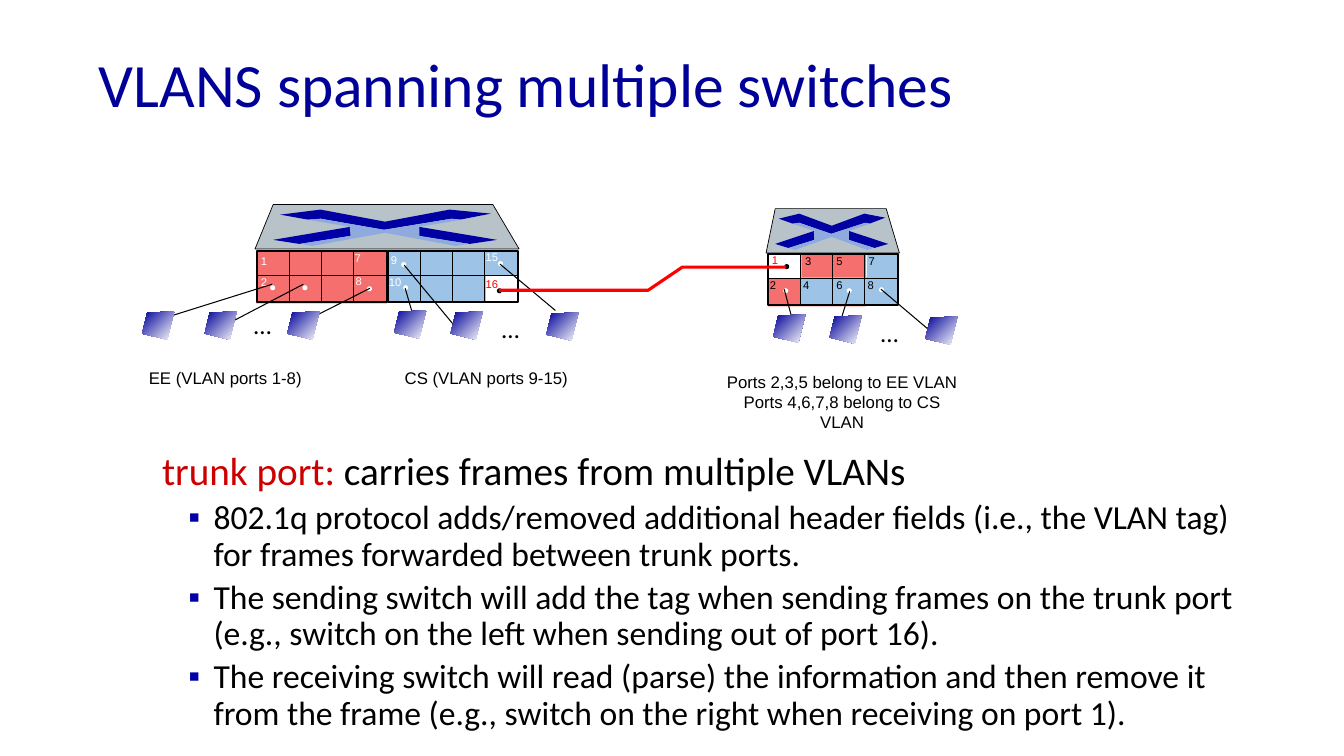
from lxml.etree import SubElement as Sub
from pptx import Presentation
from pptx.dml.color import RGBColor
from pptx.enum.shapes import MSO_CONNECTOR as Link, MSO_SHAPE as Kind
from pptx.enum.text import MSO_ANCHOR as Anchor, MSO_AUTO_SIZE as Fit, PP_ALIGN as Align
from pptx.oxml.ns import qn
from pptx.util import Pt

PX = 9144
RED, BLUE, WHITE, BLACK = "F56F6F", "9DC3E6", "FFFFFF", "000000"
NAVY, TRUNK = "000099", "FF0000"

TITLE = "VLANS spanning multiple switches"
LEAD = ("trunk port: ", "carries frames from multiple VLANs")
POINTS = [
    "802.1q protocol adds/removed additional header fields (i.e., the VLAN tag) for frames forwarded between trunk ports.",
    "The sending switch will add the tag when sending frames on the trunk port (e.g., switch on the left when sending out of port 16).",
    "The receiving switch will read (parse) the information and then remove it from the frame (e.g., switch on the right when receiving on port 1).",
]
NOTES = [
    (129, 360, 189, 30, ["EE (VLAN ports 1-8)"]),
    (342, 360, 281, 30, ["CS (VLAN ports 9-15)"]),
    (704, 364, 263, 50, ["Ports 2,3,5 belong to EE VLAN", "Ports 4,6,7,8 belong to CS VLAN"]),
]
MORE = [(242, 302), (488, 306), (864, 310)]

BANKS = [(255, 249), (385, 249), (762, 252)]
FILLS = [
    (254, 249, 130, 52, RED), (384, 250, 98, 50, BLUE), (481, 249, 32, 24, BLUE),
    (762, 276, 33, 28, RED), (795, 252, 64, 52, RED),
    (860, 252, 32, 27, BLUE), (794, 275, 97, 27, BLUE),
]
PORTS = [
    ("1", 249, 247, WHITE), ("2", 249, 268, WHITE), ("7", 342, 244, WHITE), ("8", 343, 267, WHITE),
    ("9", 378, 246, WHITE), ("10", 376, 268, WHITE), ("15", 472, 243, WHITE), ("16", 472, 270, TRUNK),
    ("1", 756, 246, TRUNK), ("2", 754, 271, BLACK), ("3", 789, 247, BLACK), ("4", 787, 271, BLACK),
    ("5", 820, 247, BLACK), ("6", 820, 271, BLACK), ("7", 852, 247, BLACK), ("8", 851, 271, BLACK),
]
DOTS = [(268, 283), (300, 283), (364, 284), (400, 283), (398, 260), (494, 259),
        (777, 286), (872, 285), (840, 286)]
ENDS = [(493, 286), (778, 262)]
WIRES = [
    (270, 282, 171, 313), (301, 282, 213, 328), (367, 286, 292, 324),
    (402, 286, 413, 324), (401, 263, 454, 327), (496, 262, 551, 308),
    (778, 287, 789, 328), (843, 289, 830, 331), (874, 287, 926, 331),
]
HOSTS = [(141, 309), (203, 309), (285, 309), (391, 308), (447, 309), (542, 310),
         (767, 312), (823, 313), (918, 314)]
HOST = [(32, 0), (5, 1), (0, 22), (25, 28)]
ROUTE = [(495, 288), (643, 288), (677, 265), (780, 265)]

LIDS = [(253, 203, 1), (760, 207, 0.505)]
LID = [
    ("B8C2C9", [(0, 44), (18, 0), (236, 0), (262, 44)]),
    ("0000A3", [(193, 5), (234, 9), (203, 15), (195, 14), (128, 25), (65, 14),
                (53, 15), (25, 10), (65, 5), (129, 17)]),
    ("0000A3", [(162, 22), (240, 35), (213, 39), (161, 31)]),
    ("0000A8", [(95, 22), (95, 31), (44, 39), (18, 35)]),
    ("8FAADC", [(52, 15), (65, 14), (128, 25), (195, 14), (205, 15), (163, 22),
                (163, 31), (212, 39), (199, 41), (129, 28), (57, 41), (45, 39),
                (95, 31), (94, 22)]),
]


def tone(code):
    return RGBColor.from_string(code)


def emu(*nums):
    return [round(n * PX) for n in nums]


def style(shape, fill=None, edge=None, wide=0.5):
    shape.shadow.inherit = False
    if fill:
        shape.fill.solid()
        shape.fill.fore_color.rgb = tone(fill)
    else:
        shape.fill.background()
    if edge:
        shape.line.color.rgb = tone(edge)
        shape.line.width = Pt(wide)
    else:
        shape.line.fill.background()


def block(kind, box, fill=None, edge=None, wide=0.5):
    style(shapes.add_shape(kind, *emu(*box)), fill, edge, wide)


def trace(pts, shut=True):
    pen = shapes.build_freeform(*emu(*pts[0]), scale=1.0)
    pen.add_line_segments([emu(*p) for p in pts[1:]], close=shut)
    return pen.convert_to_shape()


def wire(*ends):
    line = shapes.add_connector(Link.STRAIGHT, *emu(*ends))
    line.line.color.rgb = tone(BLACK)
    line.line.width = Pt(0.75)
    Sub(line._element.spPr, qn("a:effectLst"))


def ink(font, name, size, code):
    font.name, font.size, font.color.rgb = name, Pt(size), tone(code)


def label(box, rows, name, size, code, wrap=False, align=Align.LEFT):
    frame = shapes.add_textbox(*emu(*box)).text_frame
    frame.word_wrap = wrap
    frame.auto_size = Fit.SHAPE_TO_FIT_TEXT
    frame.text = "\n".join(rows)
    for para in frame.paragraphs:
        para.alignment = align
        ink(para.runs[0].font, name, size, code)


def bullet(para):
    props = para._p.get_or_add_pPr()
    left, hang = emu(51, -25)
    props.set("marL", str(left))
    props.set("indent", str(hang))
    Sub(Sub(props, qn("a:buClr")), qn("a:srgbClr"), val="0000A8")
    Sub(props, qn("a:buFont"), typeface="Arial")
    Sub(props, qn("a:buChar"), char="▪")


deck = Presentation()
deck.slide_width, deck.slide_height = 12192000, 6858000
slide = deck.slides.add_slide(deck.slide_layouts[5])
shapes = slide.shapes

head = shapes.title
head.left, head.top, head.width, head.height = emu(88, 38, 1150, 98)
head.text_frame.text = TITLE
head.text_frame.vertical_anchor = Anchor.MIDDLE
para = head.text_frame.paragraphs[0]
para.alignment, para.line_spacing = Align.LEFT, 0.9
ink(para.runs[0].font, "Calibri", 44, NAVY)

for *box, code in FILLS:
    block(Kind.RECTANGLE, box, code)
for x, y in BANKS:
    block(Kind.RECTANGLE, (x, y, 129, 51), None, BLACK, 1.5)
    wire(x, y + 24, x + 129, y + 24)
    for col in (1, 2, 3):
        wire(x + 32 * col, y, x + 32 * col, y + 51)
for x, y in DOTS:
    block(Kind.OVAL, (x, y, 5, 5), WHITE)
for port, x, y, code in PORTS:
    label((x, y, 19 + 7 * len(port), 23), [port], "Arial", 8, code)

for left, top, scale in LIDS:
    for code, pts in LID:
        part = trace([(left + x * scale, top + y) for x, y in pts])
        style(part, code, BLACK if code == LID[0][0] else None)

for ends in WIRES:
    wire(*ends)
for left, top in HOSTS:
    host = trace([(left + x, top + y) for x, y in HOST])
    style(host)
    host.fill.gradient()
    host.fill.gradient_angle = 315
    for stop, code in zip(host.fill.gradient_stops, (NAVY, WHITE)):
        stop.color.rgb = tone(code)

for x, y in ENDS:
    block(Kind.OVAL, (x, y, 5, 5), BLACK)
style(trace(ROUTE, False), None, TRUNK, 2.25)

for x, y in MORE:
    label((x, y, 38, 40), ["…"], "Calibri", 18, BLACK)
for *box, rows in NOTES:
    label(box, rows, "Arial", 12, BLACK, len(rows) == 1, Align.CENTER)

body = shapes.add_textbox(*emu(151, 443, 1092, 294)).text_frame
body.word_wrap = True
para = body.paragraphs[0]
para.line_spacing = 0.9
for words, code in zip(LEAD, ("CC0000", BLACK)):
    run = para.add_run()
    run.text = words
    ink(run.font, "Calibri", 28, code)
for point in POINTS:
    para = body.add_paragraph()
    para.text = point
    para.level = 1
    bullet(para)
    para.line_spacing, para.space_before = 0.9, Pt(5)
    ink(para.runs[0].font, "Calibri", 24, BLACK)

deck.save("out.pptx")
